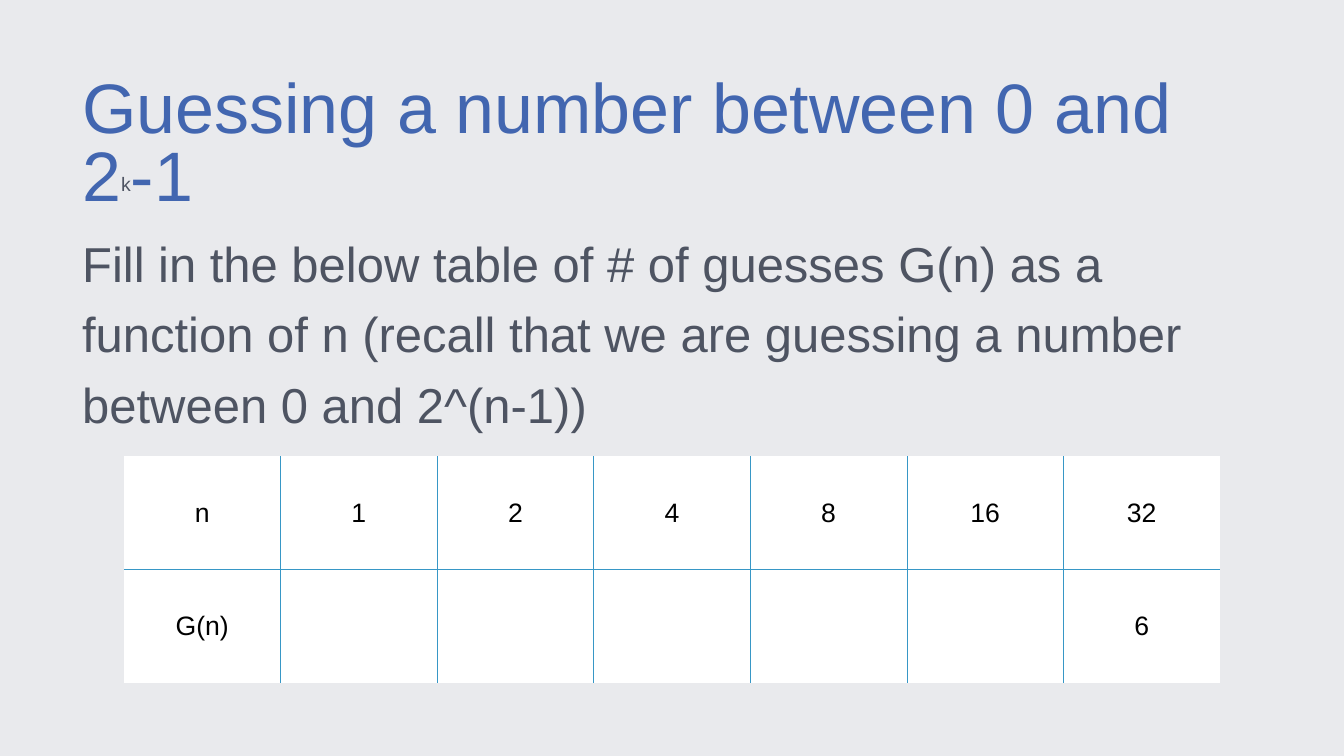
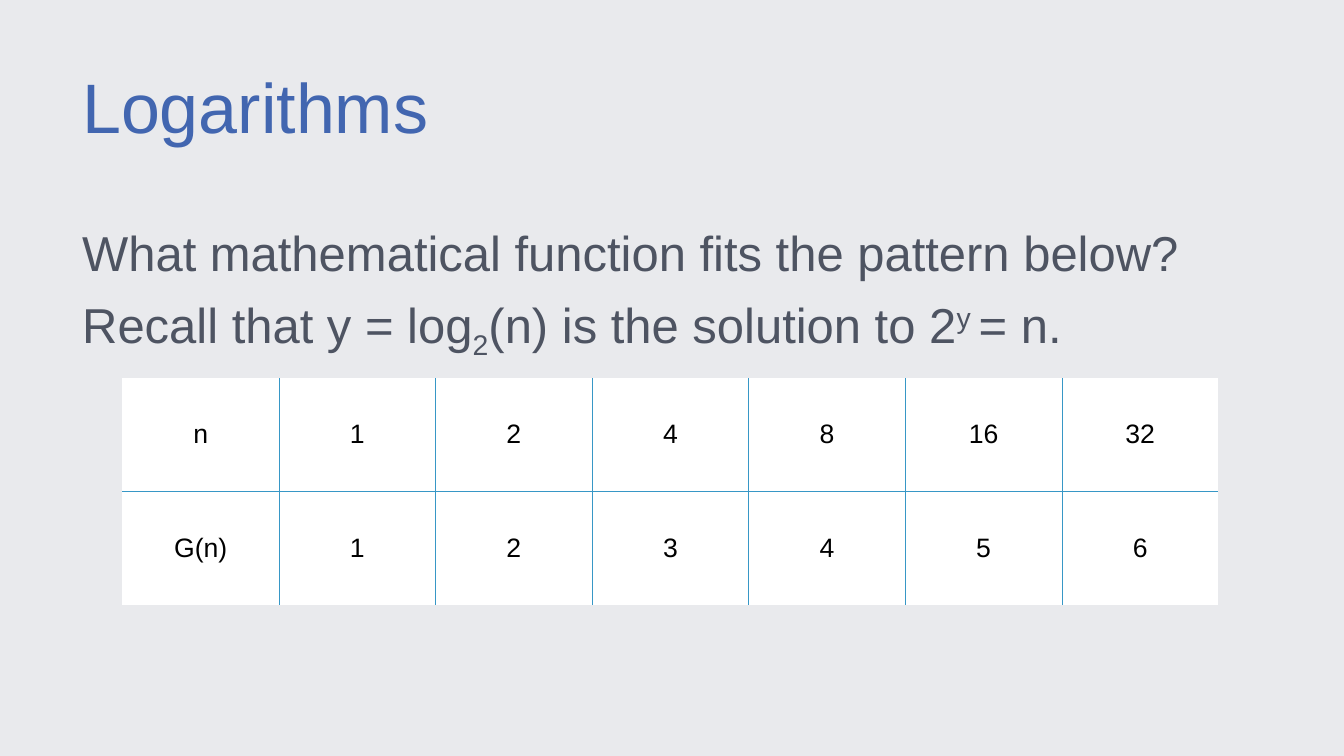
from lxml import etree
from pptx import Presentation
from pptx import util as u
from pptx.dml.color import RGBColor
from pptx.enum import text
from pptx.oxml import ns

COLORS = {
    "background": "E9EAED",
    "title": "4266B0",
    "body": "4E5462",
    "cell": "FFFFFF",
    "cell_text": "000000",
    "grid": "3797C6",
}
FONT = "Arial"
NO_GRID_STYLE = "{2D5ABB26-0587-4C30-8999-92F81FD0307C}"
LEFT, WIDTH = 1.63, 23.34
POWERS = ["n", "1", "2", "4", "8", "16", "32"]


class Deck:
    """Hold the shared style and the current slide."""

    def __init__(self):
        """Start a wide presentation with a plain background."""
        self.presentation = Presentation()
        self.presentation.slide_width = u.Inches(26.67)
        self.presentation.slide_height = u.Inches(15)
        fill = self.presentation.slide_master.background.fill
        fill.solid()
        fill.fore_color.rgb = RGBColor.from_string(COLORS["background"])
        self.slide = None

    def new_slide(self):
        """Add a slide with a title and a body placeholder."""
        layout = self.presentation.slide_layouts[1]
        self.slide = self.presentation.slides.add_slide(layout)

    def add_run(self, paragraph, content, size, color, baseline=0):
        """Add one run, raised or lowered by a percentage."""
        run = paragraph.add_run()
        run.text = content
        run.font.name = FONT
        run.font.size = u.Pt(size)
        run.font.color.rgb = RGBColor.from_string(COLORS[color])
        if baseline:
            run.font._element.set("baseline", str(baseline * 1000))

    def fill_placeholder(self, shape, top, height, paragraphs, spacing):
        """Place a placeholder and write its paragraphs without bullets."""
        shape.left, shape.top = u.Inches(LEFT), u.Inches(top)
        shape.width, shape.height = u.Inches(WIDTH), u.Inches(height)
        frame = shape.text_frame
        frame.word_wrap = True
        frame.auto_size = text.MSO_AUTO_SIZE.NONE
        frame.vertical_anchor = text.MSO_ANCHOR.TOP
        frame.margin_left = frame.margin_right = 0
        frame.margin_top = frame.margin_bottom = 0
        for index, runs in enumerate(paragraphs):
            paragraph = frame.add_paragraph() if index else frame.paragraphs[0]
            paragraph.alignment = text.PP_ALIGN.LEFT
            paragraph.line_spacing = spacing
            paragraph.space_before = u.Pt(0)
            properties = paragraph._p.get_or_add_pPr()
            properties.set("marL", "0")
            properties.set("indent", "0")
            etree.SubElement(properties, ns.qn("a:buNone"))
            for run in runs:
                self.add_run(paragraph, *run)

    def title(self, *runs):
        """Write the slide title."""
        self.fill_placeholder(self.slide.shapes.title, 1.59, 2.59, [runs], 0.8)

    def body(self, top, height, *paragraphs):
        """Write the body, each paragraph a list of text and baseline pairs."""
        styled = [[(content, 70, "body", baseline) for content, baseline in runs]
                  for runs in paragraphs]
        self.fill_placeholder(self.slide.placeholders[1], top, height, styled, 1.2)

    def border(self, cell, side):
        """Draw one side of a cell."""
        line = etree.SubElement(cell._tc.get_or_add_tcPr(), ns.qn("a:ln" + side),
                                w=str(u.Pt(1)))
        fill = etree.SubElement(line, ns.qn("a:solidFill"))
        etree.SubElement(fill, ns.qn("a:srgbClr"), val=COLORS["grid"])

    def table(self, left, top, rows):
        """Add a table of centred values with inner grid lines."""
        row_count, column_count = len(rows), len(rows[0])
        table = self.slide.shapes.add_table(
            row_count, column_count, u.Inches(left), u.Inches(top),
            u.Inches(21.75), u.Inches(4.5)).table
        table.first_row = table.horz_banding = False
        table._tbl.tblPr.find(ns.qn("a:tableStyleId")).text = NO_GRID_STYLE
        for row, values in enumerate(rows):
            for column, value in enumerate(values):
                cell = table.cell(row, column)
                cell.vertical_anchor = text.MSO_ANCHOR.MIDDLE
                cell.margin_left = cell.margin_right = u.Inches(0.06)
                cell.margin_top = cell.margin_bottom = u.Inches(0.06)
                inner_sides = {"L": column > 0, "R": column < column_count - 1,
                               "T": row > 0, "B": row < row_count - 1}
                for side, inner in inner_sides.items():
                    if inner:
                        self.border(cell, side)
                cell.fill.solid()
                cell.fill.fore_color.rgb = RGBColor.from_string(COLORS["cell"])
                paragraph = cell.text_frame.paragraphs[0]
                paragraph.alignment = text.PP_ALIGN.CENTER
                if value:
                    self.add_run(paragraph, value, 38, "cell_text")


def main():
    """Build both slides and save them."""
    deck = Deck()

    deck.new_slide()
    deck.title(("Guessing a number between 0 and 2", 100, "title"),
               ("k", 48, "body", 30),
               ("-1", 100, "title"))
    deck.body(4.39, 4.24, [
        ("Fill in the below table of # of guesses G(n) as a function of n "
         "(recall that we are guessing a number between 0 and 2^(n-1))", 0)])
    deck.table(2.46, 9.05, [POWERS, ["G(n)", "", "", "", "", "", "6"]])

    deck.new_slide()
    deck.title(("Logarithms", 100, "title"))
    deck.body(4.18, 2.83,
              [("What mathematical function fits the pattern below?", 0)],
              [("Recall that y = log", 0), ("2", -25),
               ("(n) is the solution to 2", 0), ("y ", 30), ("= n.", 0)])
    deck.table(2.43, 7.5, [POWERS, ["G(n)", "1", "2", "3", "4", "5", "6"]])

    deck.presentation.save("out.pptx")


if __name__ == "__main__":
    main()
